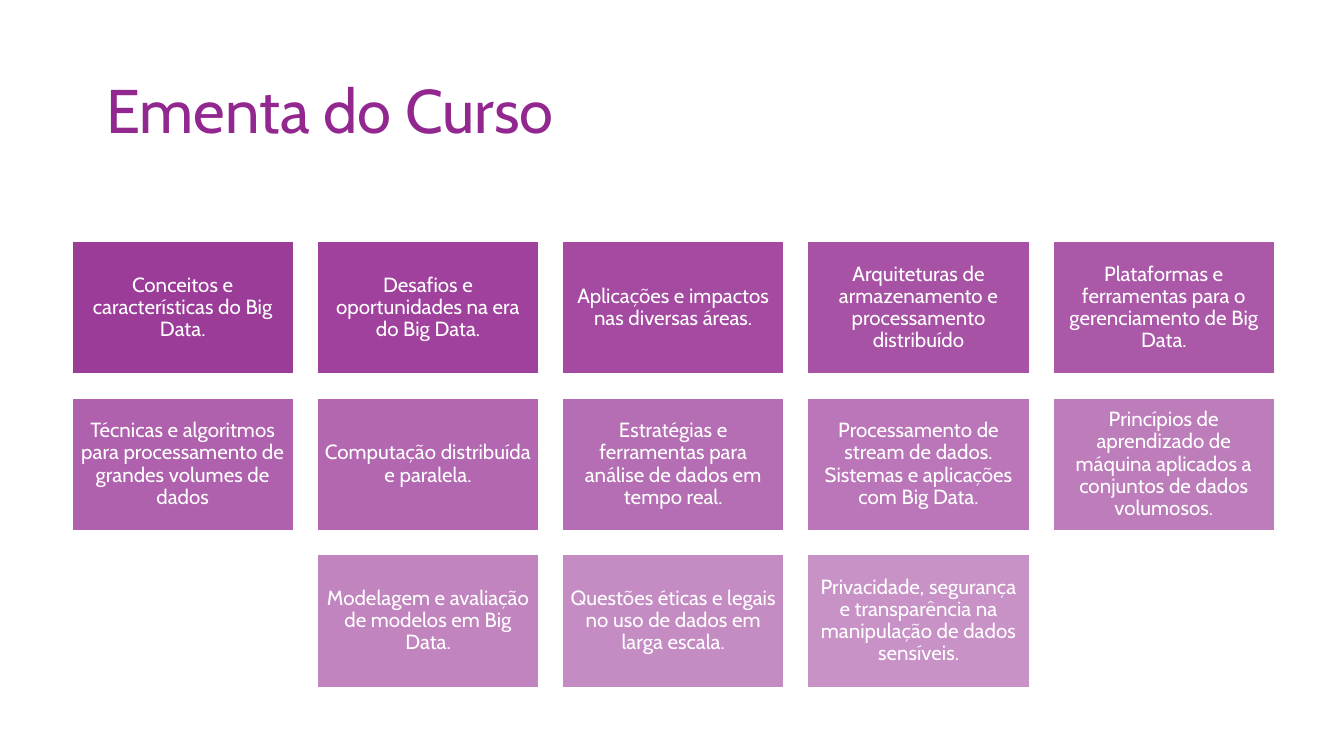
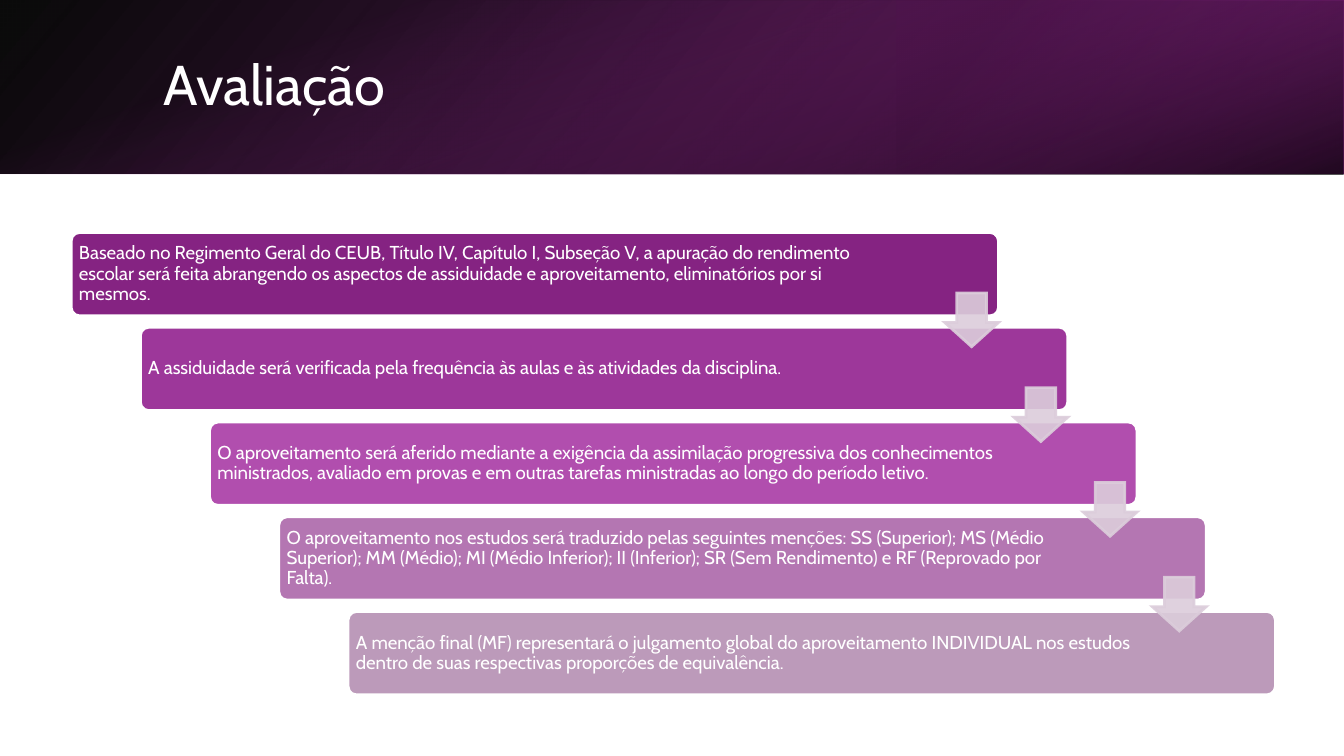
from pptx import Presentation
from pptx.dml.color import RGBColor
from pptx.enum.shapes import MSO_SHAPE
from pptx.enum.text import MSO_ANCHOR, PP_ALIGN
from pptx.oxml import parse_xml
from pptx.oxml.ns import nsdecls
from pptx.oxml.xmlchemy import OxmlElement
from pptx.util import Inches, Pt

FONT = "Cabin"
PURPLE, WHITE, BLACK, ARROW = "92278F", "FFFFFF", "000000", "DCCDDB"

TOPIC_ROWS = [
    ["Conceitos e características do Big Data.",
     "Desafios e oportunidades na era do Big Data.",
     "Aplicações e impactos nas diversas áreas.",
     "Arquiteturas de armazenamento e processamento distribuído",
     "Plataformas e ferramentas para o gerenciamento de Big Data."],
    ["Técnicas e algoritmos para processamento de grandes volumes de dados",
     "Computação distribuída e paralela.",
     "Estratégias e ferramentas para análise de dados em tempo real.",
     "Processamento de stream de dados. Sistemas e aplicações com Big Data.",
     "Princípios de aprendizado de máquina aplicados a conjuntos de dados volumosos."],
    ["Modelagem e avaliação de modelos em Big Data.",
     "Questões éticas e legais no uso de dados em larga escala.",
     "Privacidade, segurança e transparência na manipulação de dados sensíveis."],
]

# Fill colour, right inset, text
STEPS = [
    ("852382", 0.74, "Baseado no Regimento Geral do CEUB, Título IV, Capítulo I, Subseção V, "
     "a apuração do rendimento escolar será feita abrangendo os aspectos de assiduidade e "
     "aproveitamento, eliminatórios por si mesmos."),
    ("9D379A", 0.95, "A assiduidade será verificada pela frequência às aulas e às atividades "
     "da disciplina."),
    ("B14EAE", 0.95, "O aproveitamento será aferido mediante a exigência da assimilação "
     "progressiva dos conhecimentos ministrados, avaliado em provas e em outras tarefas "
     "ministradas ao longo do período letivo."),
    ("B476B2", 0.95, "O aproveitamento nos estudos será traduzido pelas seguintes menções: "
     "SS (Superior); MS (Médio Superior); MM (Médio); MI (Médio Inferior); II (Inferior); "
     "SR (Sem Rendimento) e RF (Reprovado por Falta)."),
    ("BC9ABA", 0.95, "A menção final (MF) representará o julgamento global do aproveitamento "
     "INDIVIDUAL nos estudos dentro de suas respectivas proporções de equivalência."),
]

# Gradient stops are (position %, colour, opacity %)
HEADER_LAYERS = [
    dict(area=(0, 0, 10, 1.29), rotation=0, flip=True, angle=140,
         stops=[(0, BLACK, 96), (100, "6D1D6B", 100)]),
    dict(area=(6.67, 0, 3.33, 1.29), rotation=180, flip=True, angle=320,
         stops=[(19, "491447", 68), (100, PURPLE, 79)]),
    dict(area=(4.35, -4.35, 1.29, 10), rotation=90, flip=False, angle=340,
         stops=[(23, PURPLE, 0), (99, BLACK, 74)]),
]


def rgb(value):
    return RGBColor.from_string(value)


def spread(first, last, count):
    """Return count evenly spaced positions from first to last."""
    return [first + (last - first) * index / (count - 1) for index in range(count)]


def set_opacity(shape, where, percent):
    """Set the opacity of the solid colour found at an XPath below spPr."""
    for color in shape.element.spPr.xpath(f"{where}/a:srgbClr"):
        alpha = OxmlElement("a:alpha")
        alpha.set("val", str(percent * 1000))
        color.append(alpha)


def add_block(page, kind, area, fill, line, adjustments=()):
    shape = page.shapes.add_shape(kind, *map(Inches, area))
    shape.shadow.inherit = False
    shape.fill.solid()
    shape.fill.fore_color.rgb = rgb(fill)
    shape.line.color.rgb = rgb(line)
    shape.line.width = Pt(1.5)
    miter = OxmlElement("a:miter")
    miter.set("lim", "800000")
    shape.element.spPr.xpath("a:ln")[0].append(miter)
    for index, value in enumerate(adjustments):
        shape.adjustments[index] = value
    return shape


def write(shape, text, size, color=WHITE, align=PP_ALIGN.LEFT, margins=None):
    frame = shape.text_frame
    frame.word_wrap = True
    frame.vertical_anchor = MSO_ANCHOR.MIDDLE
    for side, inset in (margins or {}).items():
        setattr(frame, f"margin_{side}", Inches(inset))
    para = frame.paragraphs[0]
    para.alignment = align
    para.line_spacing = 0.9
    span = para.add_run()
    span.text = text
    for name, value in dict(name=FONT, size=Pt(size)).items():
        setattr(span.font, name, value)
    span.font.color.rgb = rgb(color)


def add_title(page, text, area, size, color):
    """Place the title placeholder above everything drawn so far."""
    title = page.shapes.title
    title.left, title.top, title.width, title.height = map(Inches, area)
    page.shapes.element.append(title.element)
    write(title, text, size, color)


def add_header_layer(page, area, rotation, flip, angle, stops):
    shape = page.shapes.add_shape(MSO_SHAPE.RECTANGLE, *map(Inches, area))
    shape.shadow.inherit = False
    shape.line.fill.background()
    shape.rotation = rotation
    properties = shape.element.spPr
    if flip:
        properties.xfrm.set("flipH", "1")
    stop_xml = "".join(
        f'<a:gs pos="{position * 1000}"><a:srgbClr val="{color}">'
        f'<a:alpha val="{opacity * 1000}"/></a:srgbClr></a:gs>'
        for position, color, opacity in stops)
    gradient = parse_xml(
        f'<a:gradFill {nsdecls("a")} rotWithShape="1"><a:gsLst>{stop_xml}</a:gsLst>'
        f'<a:lin ang="{angle * 60000}" scaled="0"/></a:gradFill>')
    properties.find("./{*}prstGeom").addnext(gradient)


def build_syllabus(page):
    add_title(page, "Ementa do Curso", (0.69, 0.3, 8.62, 1.09), 33, PURPLE)
    width, height = 1.66, 1
    columns = spread(0.53, 7.83, len(TOPIC_ROWS[0]))
    tops = spread(1.79, 4.12, len(TOPIC_ROWS))
    last = sum(map(len, TOPIC_ROWS)) - 1
    margins = dict.fromkeys(("left", "top", "right", "bottom"), 0.05)
    number = 0
    for top, topics in zip(tops, TOPIC_ROWS):
        indent = (len(columns) - len(topics)) // 2
        for left, topic in zip(columns[indent:], topics):
            card = add_block(page, MSO_SHAPE.RECTANGLE, (left, top, width, height),
                             PURPLE, WHITE)
            set_opacity(card, "a:solidFill", round(90 - 40 * number / last))
            write(card, topic, 11, align=PP_ALIGN.CENTER, margins=margins)
            number += 1


def build_assessment(page):
    for layer in HEADER_LAYERS:
        add_header_layer(page, **layer)
    add_title(page, "Avaliação", (1.12, 0.29, 8.24, 0.72), 30, WHITE)
    width, height, arrow_size = 6.9, 0.62, 0.4
    count = len(STEPS)
    places = list(zip(spread(0.53, 2.59, count), spread(1.73, 4.55, count)))
    for (left, top), (fill, right_inset, text) in zip(places, STEPS):
        bar = add_block(page, MSO_SHAPE.ROUNDED_RECTANGLE, (left, top, width, height),
                        fill, WHITE, [0.1])
        write(bar, text, 10,
              margins=dict(left=0.04, top=0.04, right=right_inset, bottom=0.04))
    for left, top in places[:-1]:
        area = (left + width - arrow_size, top + 0.45, arrow_size, arrow_size)
        arrow = add_block(page, MSO_SHAPE.DOWN_ARROW, area, ARROW, ARROW, [0.55, 0.45])
        set_opacity(arrow, ".//a:solidFill", 90)


def main():
    deck = Presentation()
    deck.slide_width = Inches(10)
    deck.slide_height = deck.slide_width * 9 // 16
    for build in (build_syllabus, build_assessment):
        build(deck.slides.add_slide(deck.slide_layouts[5]))
    deck.save("out.pptx")


if __name__ == "__main__":
    main()
